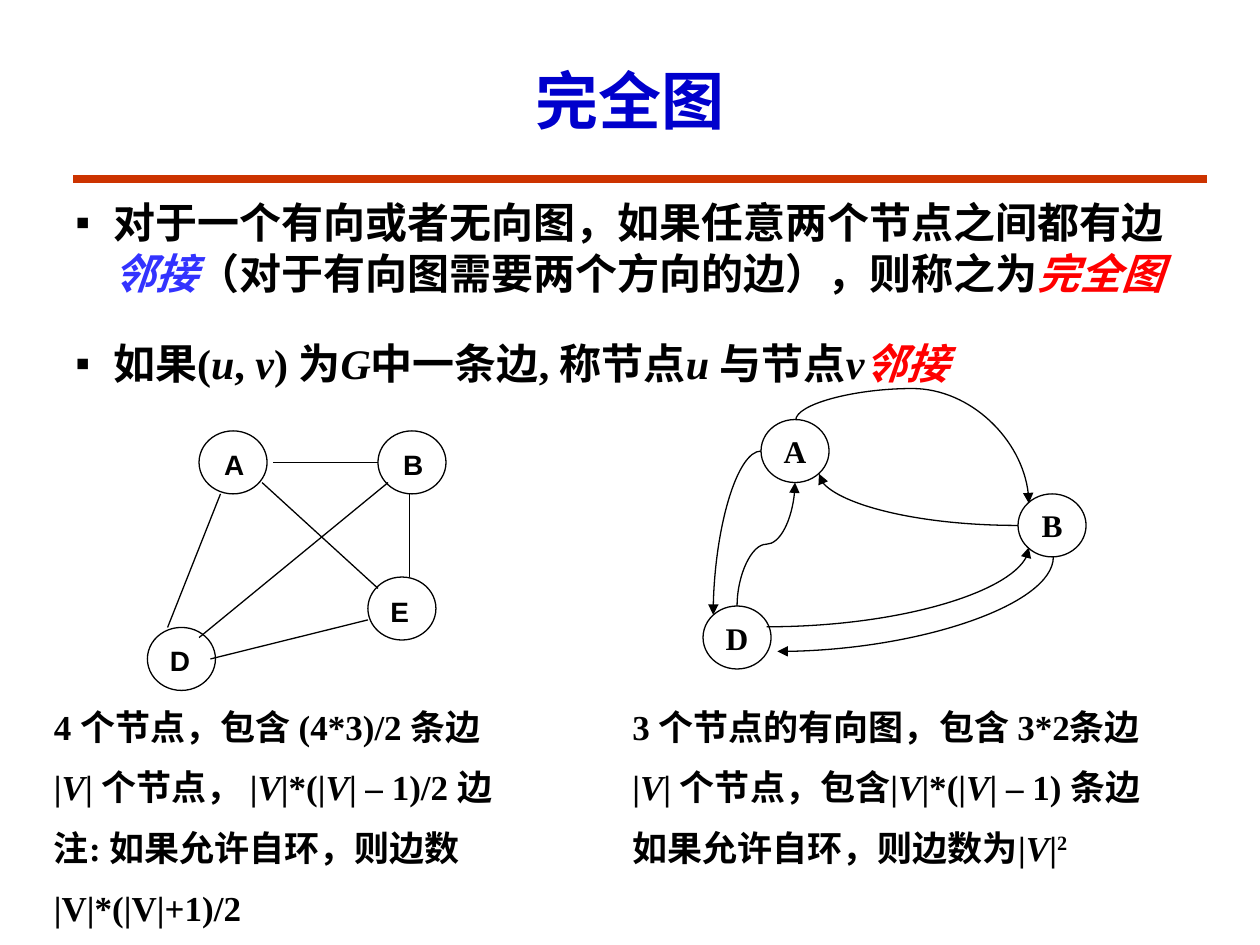
from lxml.etree import SubElement
from pptx import Presentation
from pptx.dml.color import RGBColor
from pptx.enum.shapes import MSO_CONNECTOR, MSO_SHAPE
from pptx.enum.text import MSO_ANCHOR, MSO_AUTO_SIZE, PP_ALIGN
from pptx.oxml.ns import qn
from pptx.util import Inches, Pt

SERIF, SANS = "Times New Roman", "Arial"
BLACK, BLUE, RED = "000000", "3333FF", "FF0000"
ITALIC = {"italic": True}

TITLE = [[("完全图", {"color": "0000CC"})]]
DEFINITION = [[
    "对于一个有向或者无向图，如果任意两个节点之间都有边",
    ("邻接", {"color": BLUE, "italic": True}),
    "（对于有向图需要两个方向的边），则称之为",
    ("完全图", {"color": RED, "italic": True}),
]]
ADJACENCY = [[
    "如果(", ("u", ITALIC), ", ", ("v", ITALIC), ") 为", ("G", ITALIC),
    "中一条边, 称节点", ("u ", ITALIC), "与节点", ("v", ITALIC),
    ("邻接", {"color": RED, "italic": True}),
]]
UNDIRECTED_NOTES = [
    ["4 个节点，包含 (4*3)/2 条边"],
    ["|", ("V", ITALIC), "| 个节点， |", ("V", ITALIC), "|*(|", ("V", ITALIC), "| – 1)/2 边"],
    ["注: 如果允许自环，则边数"],
    ["|V|*(|V|+1)/2"],
]
DIRECTED_NOTES = [
    ["3 个节点的有向图，包含 3*2条边"],
    ["|", ("V", ITALIC), "| 个节点，包含|", ("V", ITALIC), "|*(|", ("V", ITALIC), "| – 1) 条边"],
    [("如果允许自环，则边数为", {"name": SANS}), "|", ("V", ITALIC), "|", ("2", {"baseline": "30000"})],
]

NODE_SIZE = (0.54, 0.5)
UNDIRECTED_NODES = [(1.58, 3.42), (3, 3.42), (1.17, 4.98), (2.92, 4.58)]
UNDIRECTED_LABELS = [("A", 1.68, 3.5), ("B", 3.1, 3.5), ("D", 1.25, 5.06), ("E", 3, 4.67)]
UNDIRECTED_EDGES = [
    (2.08, 3.83, 3, 4.67), (2.17, 3.67, 3, 3.67), (3.25, 4.58, 3.25, 3.92),
    (1.67, 5.23, 2.92, 4.92), (1.33, 4.98, 1.75, 3.92), (1.58, 5.06, 3.08, 3.83),
]
DIRECTED_NODES = [("D", 5.58, 4.81), ("A", 6.04, 3.33), ("B", 8.08, 3.92)]
DIRECTED_EDGES = [
    ((6.91, 2.74, 0.66, 1.85), 270, "h", "curvedConnector3", -0.381, "tailEnd"),
    ((6.5, 3.76, 1.58, 0.41), 180, "", "curvedConnector2", None, "tailEnd"),
    ((5.66, 3.58, 0.38, 1.3), 180, "v", "curvedConnector2", None, "tailEnd"),
    ((5.59, 4.09, 0.98, 0.46), 90, "hv", "curvedConnector3", 0.5, "tailEnd"),
    ((6.89, 3.7, 0.75, 2.19), 90, "", "curvedConnector2", None, "tailEnd"),
    ((6.81, 3.62, 0.63, 2.08), 90, "", "curvedConnector2", None, "headEnd"),
]


def rgb(color):
    return RGBColor.from_string(color)


def write(shape, paragraphs, size, name=SERIF, bullet=None, space=0, align=PP_ALIGN.LEFT,
          anchor=MSO_ANCHOR.TOP, wrap=True, grow=False):
    frame = shape.text_frame
    frame.word_wrap = wrap
    frame.vertical_anchor = anchor
    frame.auto_size = MSO_AUTO_SIZE.SHAPE_TO_FIT_TEXT if grow else MSO_AUTO_SIZE.NONE
    for index, pieces in enumerate(paragraphs):
        paragraph = frame.add_paragraph() if index else frame.paragraphs[0]
        paragraph.alignment = align
        if index:
            paragraph.space_before = Pt(space)
        if bullet:
            properties = paragraph._p.get_or_add_pPr()
            properties.set("marL", str(Inches(0.3)))
            properties.set("indent", str(Inches(-0.3)))
            SubElement(properties, qn("a:buFont"), typeface=SANS)
            SubElement(properties, qn("a:buChar"), char=bullet)
        for piece in pieces:
            text, changes = (piece, {}) if isinstance(piece, str) else piece
            run = paragraph.add_run()
            run.text = text
            values = {"size": Pt(size), "name": name, "bold": True, "color": BLACK, **changes}
            run.font.color.rgb = rgb(values.pop("color"))
            if "baseline" in values:
                run._r.get_or_add_rPr().set("baseline", values.pop("baseline"))
            for attribute, value in values.items():
                setattr(run.font, attribute, value)


def add_text(slide, box, paragraphs, size, **options):
    shape = slide.shapes.add_textbox(*map(Inches, box))
    write(shape, paragraphs, size, **options)


def add_node(slide, left, top):
    node = slide.shapes.add_shape(MSO_SHAPE.OVAL, *map(Inches, (left, top, *NODE_SIZE)))
    node.shadow.inherit = False
    node.fill.background()
    node.line.color.rgb = rgb(BLACK)
    node.line.width = Pt(0.75)
    return node


def add_line(slide, ends, color=BLACK, width=0.75, kind=MSO_CONNECTOR.STRAIGHT):
    line = slide.shapes.add_connector(kind, *map(Inches, ends))
    line.line.color.rgb = rgb(color)
    line.line.width = Pt(width)
    SubElement(line._element.spPr, qn("a:effectLst"))
    return line


def add_curve(slide, box, rotation, flips, preset, bend, arrow_end):
    left, top, width, height = box
    curve = add_line(slide, (left, top, left + width, top + height), kind=MSO_CONNECTOR.CURVE)
    transform = curve._element.spPr.find(qn("a:xfrm"))
    transform.set("rot", str(rotation * 60000))
    for flip in flips:
        transform.set("flip" + flip.upper(), "1")
    geometry = curve._element.spPr.find(qn("a:prstGeom"))
    geometry.set("prst", preset)
    if bend is not None:
        adjustments = geometry.find(qn("a:avLst"))
        SubElement(adjustments, qn("a:gd"), name="adj1", fmla=f"val {round(bend * 100000)}")
    outline = curve._element.spPr.find(qn("a:ln"))
    SubElement(outline, qn("a:" + arrow_end), type="triangle")


def main():
    presentation = Presentation()
    presentation.slide_width, presentation.slide_height = Inches(10), Inches(7.5)
    slide = presentation.slides.add_slide(presentation.slide_layouts[6])

    add_line(slide, (0.58, 1.42, 9.58, 1.42), "CC3300", 4.5)
    add_text(slide, (0.75, 0.25, 8.5, 1.08), TITLE, 36,
             align=PP_ALIGN.CENTER, anchor=MSO_ANCHOR.MIDDLE)
    for top, paragraphs in ((1.5, DEFINITION), (2.42, ADJACENCY)):
        add_text(slide, (0.5, top, 9, 0.92), paragraphs, 24,
                 bullet="▪", anchor=MSO_ANCHOR.MIDDLE)

    for left, top in UNDIRECTED_NODES:
        add_node(slide, left, top)
    for label, left, top in UNDIRECTED_LABELS:
        add_text(slide, (left, top, 0.35, 0.37), [[label]], 16, name=SANS, wrap=False, grow=True)
    for ends in UNDIRECTED_EDGES:
        add_line(slide, ends)

    for label, left, top in DIRECTED_NODES:
        write(add_node(slide, left, top), [[label]], 18, align=PP_ALIGN.CENTER,
              anchor=MSO_ANCHOR.MIDDLE, wrap=False)
    for edge in DIRECTED_EDGES:
        add_curve(slide, *edge)

    add_text(slide, (0.33, 5.55, 5.42, 1.95), UNDIRECTED_NOTES, 20, space=10.5, grow=True)
    add_text(slide, (4.92, 5.55, 4.92, 1.45), DIRECTED_NOTES, 20, space=10.5, grow=True)
    presentation.save("out.pptx")


if __name__ == "__main__":
    main()
